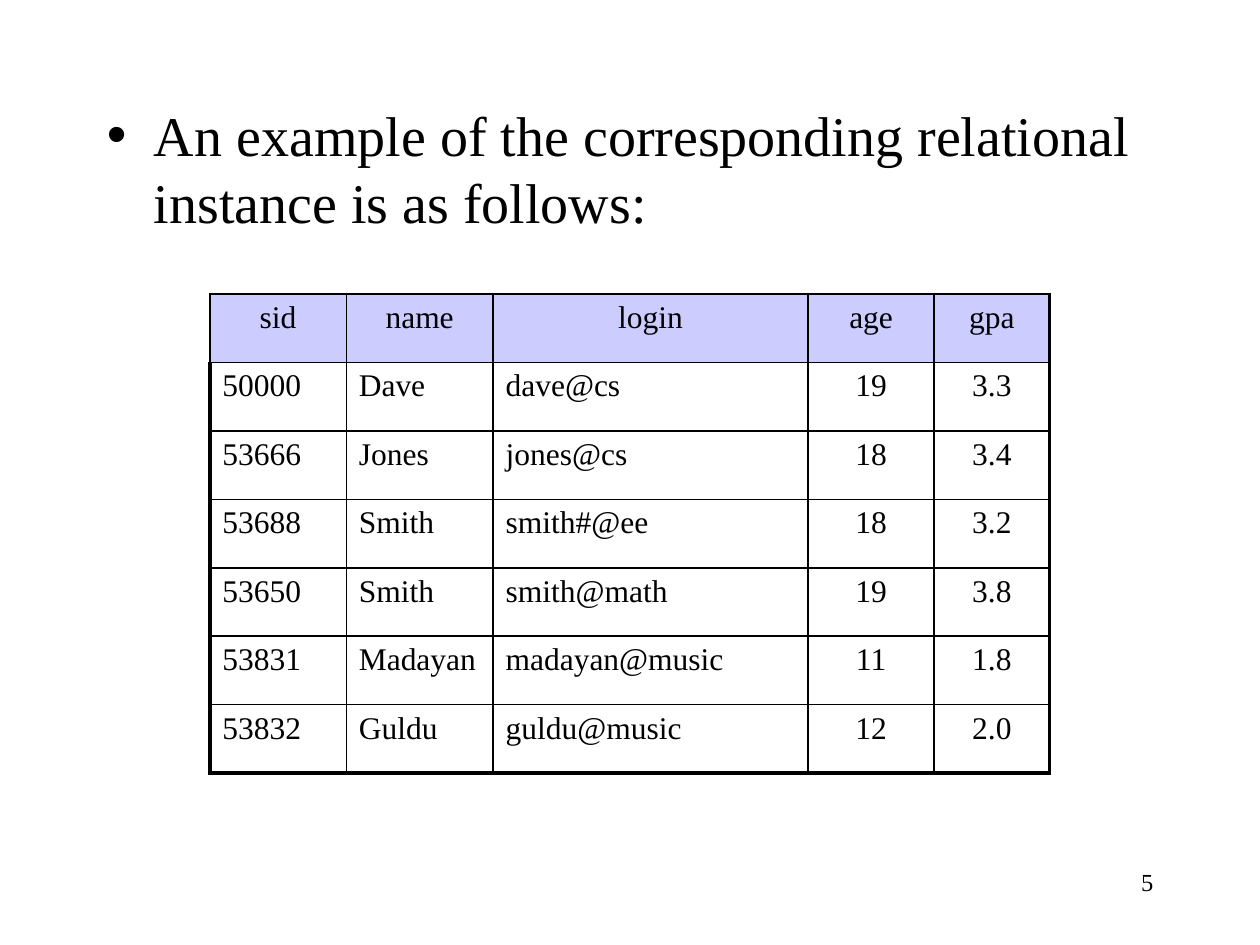
from lxml.etree import SubElement
from pptx import Presentation
from pptx.dml.color import RGBColor
from pptx.enum.text import MSO_AUTO_SIZE as Fit, MSO_ANCHOR as Anchor, PP_ALIGN as Align
from pptx.oxml.ns import qn
from pptx.util import Cm, Pt

LEAD = "An example of the corresponding relational instance is as follows:"
PAGE = "5"
HEAD = ("sid", "name", "login", "age", "gpa")
ROWS = [
    ("50000", "Dave", "dave@cs", "19", "3.3"),
    ("53666", "Jones", "jones@cs", "18", "3.4"),
    ("53688", "Smith", "smith#@ee", "18", "3.2"),
    ("53650", "Smith", "smith@math", "19", "3.8"),
    ("53831", "Madayan", "madayan@music", "11", "1.8"),
    ("53832", "Guldu", "guldu@music", "12", "2.0"),
]
WIDTHS = (2.75, 2.96, 6.35, 2.54, 2.33)
HIGH = 1.38
MIDDLE = ("age", "gpa")
FONT, INK, TINT = "Times New Roman", "000000", "CCCCFF"
THIN, THICK = 1, 2.25


def color(code):
    return RGBColor.from_string(code)


def write(para, text, size, align=Align.LEFT):
    para.alignment = align
    para.space_before = Pt(0)
    run = para.add_run()
    run.text = text
    font = run.font
    font.name, font.size, font.bold = FONT, Pt(size), False
    font.color.rgb = color(INK)


def border(cell, sides):
    """Draw the cell's edges; sides maps L, R, T, B to widths in points."""
    props = cell._tc.get_or_add_tcPr()
    for side, width in sides.items():
        line = SubElement(props, qn(f"a:ln{side}"), w=str(Pt(width)))
        fill = SubElement(line, qn("a:solidFill"))
        SubElement(fill, qn("a:srgbClr"), val=INK)


def add_lead(slide):
    body = slide.placeholders[1]
    body.left, body.top = Cm(1.9), Cm(1.9)
    body.width, body.height = Cm(21.6), Cm(15.04)
    frame = body.text_frame
    frame.auto_size, frame.vertical_anchor = Fit.NONE, Anchor.TOP
    para = frame.paragraphs[0]
    props = para._p.get_or_add_pPr()
    props.set("marL", str(Cm(0.95)))
    props.set("indent", str(-Cm(0.95)))
    SubElement(props, qn("a:buChar"), char="•")
    write(para, LEAD, 32)


def add_grid(slide):
    data = [HEAD] + ROWS
    last, end = len(data) - 1, len(HEAD) - 1
    table = slide.shapes.add_table(
        len(data), len(HEAD), Cm(4.23), Cm(5.93),
        Cm(sum(WIDTHS)), Cm(HIGH * len(data))).table
    table.first_row = table.horz_banding = False
    for col, width in zip(table.columns, WIDTHS):
        col.width = Cm(width)
    for r, row in enumerate(data):
        table.rows[r].height = Cm(HIGH)
        for c, text in enumerate(row):
            cell = table.cell(r, c)
            border(cell, {
                "L": THICK if c == 0 and r > 0 else THIN,
                "R": THICK if c == end else THIN,
                "T": THIN,
                "B": THICK if r == last else THIN,
            })
            if r == 0:
                cell.fill.solid()
                cell.fill.fore_color.rgb = color(TINT)
            else:
                cell.fill.background()
            mid = r == 0 or HEAD[c] in MIDDLE
            write(cell.text_frame.paragraphs[0], text, 18,
                  Align.CENTER if mid else Align.LEFT)


def add_page(slide):
    box = slide.shapes.add_textbox(Cm(18.2), Cm(17.36), Cm(5.3), Cm(1.27))
    box.text_frame.word_wrap = True
    write(box.text_frame.paragraphs[0], PAGE, 14, Align.RIGHT)


def main():
    deck = Presentation()
    deck.slide_width, deck.slide_height = Cm(25.4), Cm(19.05)
    slide = deck.slides.add_slide(deck.slide_layouts[1])
    title = slide.shapes.title.element
    title.getparent().remove(title)
    add_page(slide)
    add_lead(slide)
    add_grid(slide)
    deck.save("out.pptx")


if __name__ == "__main__":
    main()
